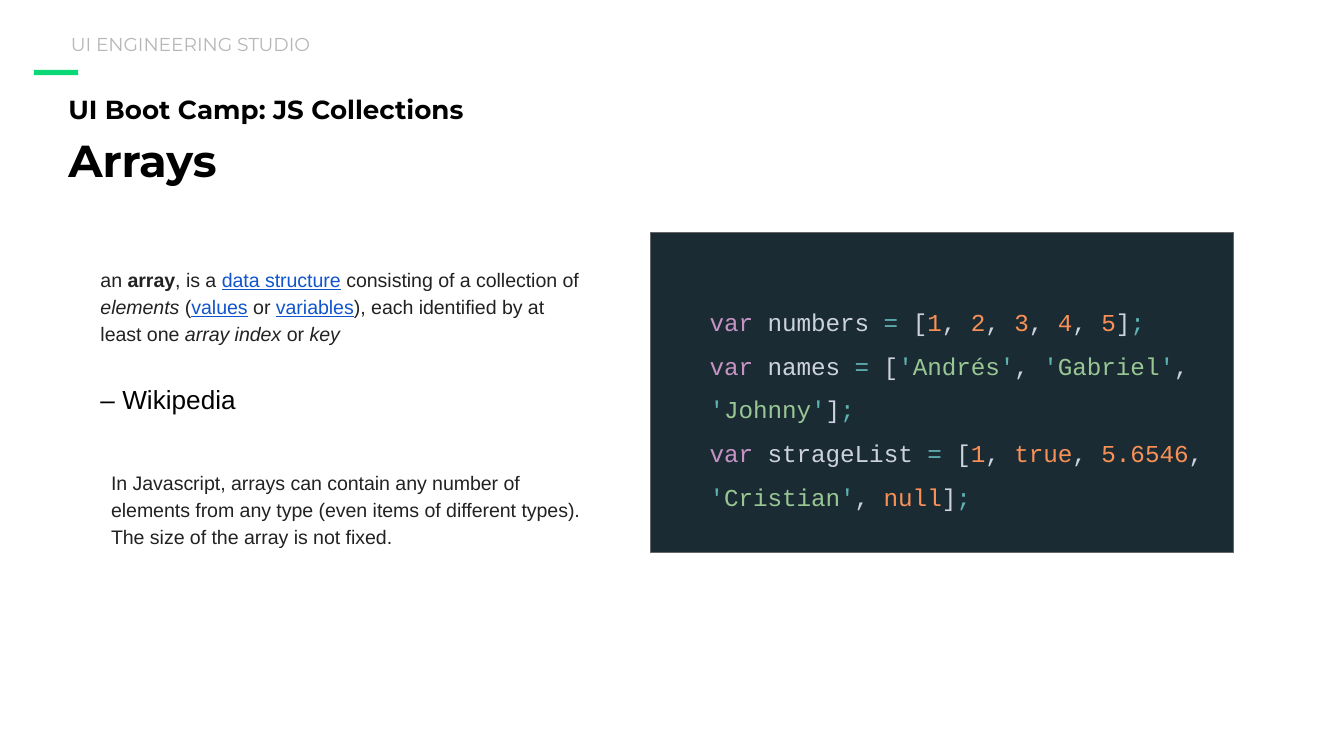
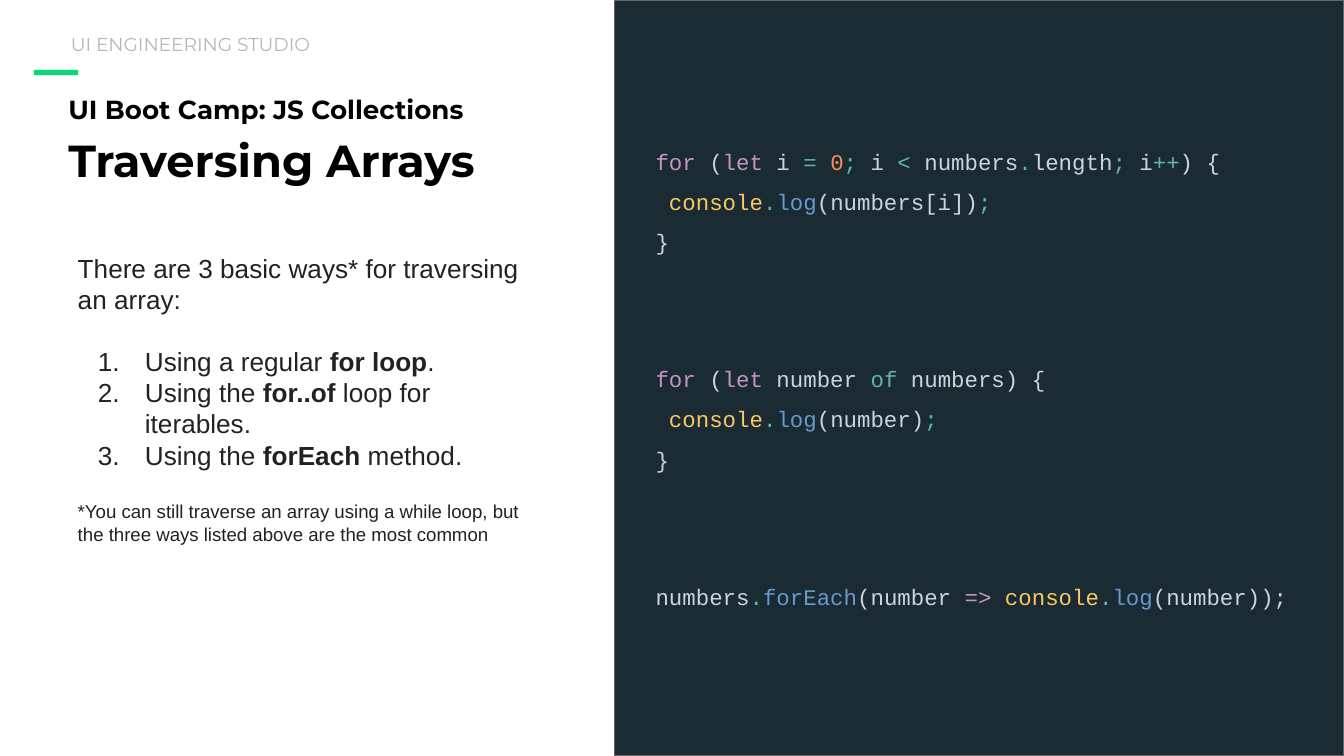
from lxml import etree
from pptx import Presentation
from pptx.dml.color import RGBColor
from pptx.enum.shapes import MSO_SHAPE
from pptx.enum.text import MSO_ANCHOR, MSO_AUTO_SIZE, PP_ALIGN
from pptx.oxml.ns import qn
from pptx.util import Cm, Pt

RECTANGLE = MSO_SHAPE.RECTANGLE
TOP, MIDDLE = MSO_ANCHOR.TOP, MSO_ANCHOR.MIDDLE
LEFT = PP_ALIGN.LEFT
NO_FIT = MSO_AUTO_SIZE.NONE

BLACK = RGBColor(0x00, 0x00, 0x00)
INK = RGBColor(0x22, 0x22, 0x22)
STUDIO_GREY = RGBColor(0xB7, 0xB7, 0xB7)
ACCENT_GREEN = RGBColor(0x0A, 0xD8, 0x76)
LINK_BLUE = RGBColor(0x11, 0x55, 0xCC)
PANEL_FILL = RGBColor(0x1B, 0x2B, 0x34)
PANEL_LINE = RGBColor(0x66, 0x66, 0x66)

# Code colours
KEYWORD = RGBColor(0xC5, 0x94, 0xC5)
PLAIN = RGBColor(0xCD, 0xD3, 0xDE)
OPERATOR = RGBColor(0x5F, 0xB3, 0xB3)
LITERAL = RGBColor(0xF9, 0x91, 0x57)
STRING = RGBColor(0x99, 0xC7, 0x94)
OBJECT = RGBColor(0xFA, 0xC8, 0x63)
METHOD = RGBColor(0x66, 0x99, 0xCC)

HEADING_FONT, BODY_FONT, CODE_FONT = "Montserrat", "Arial", "Courier New"
SLIDE_WIDTH, SLIDE_HEIGHT = 25.4, 14.29
TITLE_ONLY = 5
CODE_LEFT = 12.14

BOLD = {"bold": True}
ITALIC = {"italic": True}
LINK = {"color": LINK_BLUE, "underline": True}

COMMA = (", ", PLAIN)
END = (";", OPERATOR)
CONSOLE_LOG = [("console", OBJECT), (".", OPERATOR), ("log", METHOD)]


def add_span(paragraph, text, *, font=BODY_FONT, size=14, color=INK,
             bold=False, italic=False, underline=False):
    span = paragraph.add_run()
    span.text = text
    span.font.name = font
    span.font.size = Pt(size)
    span.font.color.rgb = color
    span.font.bold = bold
    span.font.italic = italic
    span.font.underline = underline


def fill_paragraph(paragraph, spans, *, spacing=1.0, before=0, **style):
    """Write spans, each a string or a (string, style changes) pair."""
    paragraph.alignment = LEFT
    paragraph.line_spacing = spacing
    paragraph.space_before = Pt(before)
    for span in spans:
        text, changes = (span, {}) if isinstance(span, str) else span
        add_span(paragraph, text, **{**style, **changes})


def prepare_frame(shape, anchor):
    frame = shape.text_frame
    frame.word_wrap = True
    frame.auto_size = NO_FIT
    frame.vertical_anchor = anchor
    frame.margin_left = frame.margin_right = Cm(0.25)
    frame.margin_top = frame.margin_bottom = Cm(0.25)
    return frame


def next_paragraph(frame):
    first = frame.paragraphs[0]
    return frame.add_paragraph() if first.runs else first


def add_text_box(slide, left, top, width, height, anchor=TOP):
    box = slide.shapes.add_textbox(Cm(left), Cm(top), Cm(width), Cm(height))
    return prepare_frame(box, anchor)


def add_rectangle(slide, left, top, width, height, fill, line=None):
    shape = slide.shapes.add_shape(
        RECTANGLE, Cm(left), Cm(top), Cm(width), Cm(height))
    shape.shadow.inherit = False
    shape.fill.solid()
    shape.fill.fore_color.rgb = fill
    if line is None:
        shape.line.fill.background()
    else:
        shape.line.color.rgb = line
        shape.line.width = Pt(0.75)


def add_panel(slide, left, top, width, height):
    add_rectangle(slide, left, top, width, height, PANEL_FILL, PANEL_LINE)


def add_code(slide, left, top, width, height, rows, size):
    """Write rows of (text, colour) pairs in the code font."""
    frame = add_text_box(slide, left, top, width, height, MIDDLE)
    for row in rows:
        spans = [(text, {"color": color}) for text, color in row]
        fill_paragraph(next_paragraph(frame), spans, spacing=1.5,
                       font=CODE_FONT, size=size)


def number_paragraph(paragraph):
    properties = paragraph._p.get_or_add_pPr()
    properties.set("marL", str(Cm(1.27)))
    properties.set("indent", str(Cm(-0.89)))
    bullet_color = etree.SubElement(properties, qn("a:buClr"))
    etree.SubElement(bullet_color, qn("a:srgbClr"), val=str(INK))
    etree.SubElement(properties, qn("a:buFont"), typeface=BODY_FONT)
    etree.SubElement(properties, qn("a:buAutoNum"), type="arabicPeriod")


def add_lesson_slide(deck, topic):
    """Add a slide with the shared title, accent bar and studio name."""
    slide = deck.slides.add_slide(deck.slide_layouts[TITLE_ONLY])
    title = slide.shapes.title
    title.left, title.top = Cm(1.04), Cm(1.42)
    title.width, title.height = Cm(11.66), Cm(2.41)
    heading = prepare_frame(title, TOP).paragraphs[0]
    style = {"font": HEADING_FONT, "color": BLACK, "bold": True}
    fill_paragraph(heading, ["UI Boot Camp: JS Collections"],
                   spacing=1.15, size=14, **style)
    heading.add_line_break()
    add_span(heading, topic, size=24, **style)

    add_rectangle(slide, 0.64, 1.32, 0.84, 0.1, ACCENT_GREEN)
    studio = add_text_box(slide, 1.09, 0.48, 9.6, 0.66, MIDDLE)
    fill_paragraph(studio.paragraphs[0], ["UI ENGINEERING STUDIO"],
                   spacing=1.15, font=HEADING_FONT, size=10,
                   color=STUDIO_GREY)
    return slide


def declaration(name, items):
    """Return the row that declares an array; items are lists of pairs."""
    row = [("var", KEYWORD), (f" {name}", PLAIN), (" =", OPERATOR),
           (" [", PLAIN)]
    for position, item in enumerate(items):
        row += ([COMMA] if position else []) + item
    return row + [("]", PLAIN), END]


def literal(text):
    return [(text, LITERAL)]


def quoted(text):
    return [("'", OPERATOR), (text, STRING), ("'", OPERATOR)]


def loop(head, argument):
    """Return the three rows of a loop that logs its argument."""
    return [
        [("for", KEYWORD), (" (", PLAIN), ("let", KEYWORD), *head],
        [(" ", PLAIN), *CONSOLE_LOG, (f"({argument})", PLAIN), END],
        [("}", PLAIN)],
    ]


def add_arrays_slide(deck):
    slide = add_lesson_slide(deck, "Arrays")
    quote = add_text_box(slide, 1.65, 4.75, 9.6, 3.38)
    fill_paragraph(next_paragraph(quote), [
        "an ", ("array", BOLD), ", is a ", ("data structure", LINK),
        " consisting of a collection of ", ("elements", ITALIC), " (",
        ("values", LINK), " or ", ("variables", LINK),
        "), each identified by at least one ", ("array index", ITALIC),
        " or ", ("key", ITALIC),
    ], spacing=1.15, size=10.5)
    fill_paragraph(next_paragraph(quote), ["– Wikipedia"],
                   spacing=1.15, before=18, color=BLACK)

    remark = add_text_box(slide, 1.85, 8.59, 9.6, 2.29)
    fill_paragraph(next_paragraph(remark), [
        "In Javascript, arrays can contain any number of elements from any "
        "type (even items of different types). The size of the array is "
        "not fixed."
    ], spacing=1.15, size=10.5)

    add_panel(slide, 12.29, 4.39, 11.02, 6.05)
    add_code(slide, 13.16, 4.57, 10.54, 6.05, [
        declaration("numbers", [literal(digit) for digit in "12345"]),
        declaration("names", [quoted(name) for name in
                              ("Andrés", "Gabriel", "Johnny")]),
        declaration("strageList", [
            literal("1"), literal("true"), literal("5.6546"),
            quoted("Cristian"), literal("null")]),
    ], size=13)


def add_traversing_slide(deck):
    slide = add_lesson_slide(deck, "Traversing Arrays")
    ways = add_text_box(slide, 1.22, 4.52, 8.92, 7.34)
    fill_paragraph(next_paragraph(ways), [
        "There are 3 basic ways* for traversing an array:"])
    methods = [
        ("Using a regular ", "for loop", "."),
        ("Using the ", "for..of", " loop for iterables."),
        ("Using the ", "forEach", " method."),
    ]
    for position, (lead, name, tail) in enumerate(methods):
        item = next_paragraph(ways)
        number_paragraph(item)
        fill_paragraph(item, [lead, (name, BOLD), tail],
                       before=0 if position else 16)
    fill_paragraph(next_paragraph(ways), [
        "*You can still traverse an array using a while loop, but the three "
        "ways listed above are the most common"
    ], before=16, size=10)

    add_panel(slide, 11.61, 0, SLIDE_WIDTH - 11.61, SLIDE_HEIGHT)
    counter_head = [
        (" i", PLAIN), (" = ", OPERATOR), ("0", LITERAL), END,
        (" i", PLAIN), (" <", OPERATOR), (" numbers", PLAIN),
        (".", OPERATOR), ("length", PLAIN), END,
        (" i", PLAIN), ("++", OPERATOR), (") {", PLAIN),
    ]
    item_head = [(" number", PLAIN), (" of", OPERATOR),
                 (" numbers) {", PLAIN)]
    for_each = [
        ("numbers", PLAIN), (".", OPERATOR), ("forEach", METHOD),
        ("(number ", PLAIN), ("=> ", KEYWORD), *CONSOLE_LOG,
        ("(number));", PLAIN),
    ]
    for top, width, height, rows in (
        (1.83, 11.99, 3.71, loop(counter_head, "numbers[i]")),
        (5.94, 8.92, 3.71, loop(item_head, "number")),
        (10.57, 13.26, 1.17, [for_each]),
    ):
        add_code(slide, CODE_LEFT, top, width, height, rows, size=12)


def main():
    deck = Presentation()
    deck.slide_width, deck.slide_height = Cm(SLIDE_WIDTH), Cm(SLIDE_HEIGHT)
    add_arrays_slide(deck)
    add_traversing_slide(deck)
    deck.save("out.pptx")


if __name__ == "__main__":
    main()
